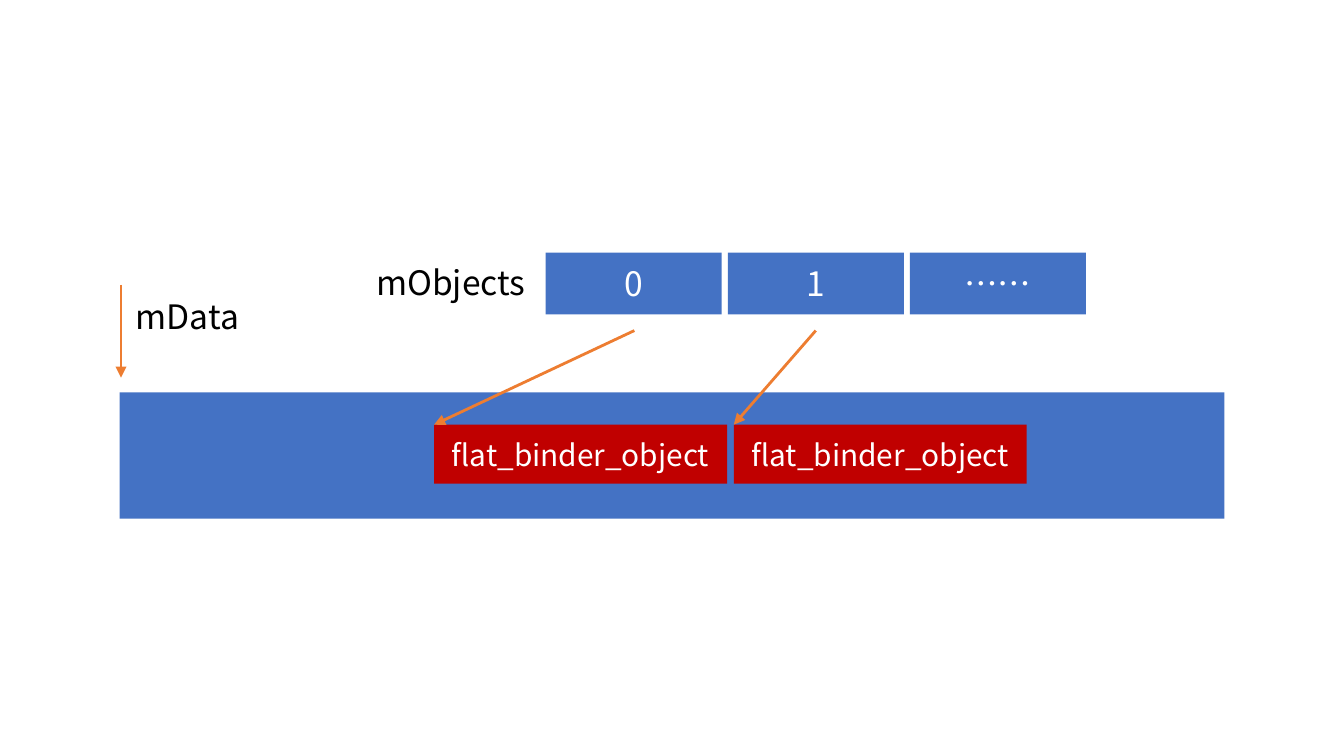
from lxml import etree
from pptx import Presentation
from pptx.dml.color import RGBColor
from pptx.enum.shapes import MSO_CONNECTOR, MSO_SHAPE
from pptx.enum.text import MSO_ANCHOR, MSO_AUTO_SIZE, PP_ALIGN
from pptx.oxml.ns import qn
from pptx.util import Inches, Pt

RECTANGLE = MSO_SHAPE.RECTANGLE
STRAIGHT = MSO_CONNECTOR.STRAIGHT
MIDDLE = MSO_ANCHOR.MIDDLE
CENTER = PP_ALIGN.CENTER
GROW = MSO_AUTO_SIZE.SHAPE_TO_FIT_TEXT
FONT = "Noto Sans CJK SC"
BLUE, RED, ORANGE = "4472C4", "C00000", "ED7D31"
BLACK, WHITE = "000000", "FFFFFF"


def write_text(box, text, size, color):
    para = box.text_frame.paragraphs[0]
    para.text = text
    for span in para.runs:
        span.font.name = FONT
        span.font.size = Pt(size)
        span.font.color.rgb = RGBColor.from_string(color)
        east_asian = etree.SubElement(span.font._element, qn("a:ea"))
        east_asian.set("typeface", FONT)


def add_block(left, top, width, height, color, text="", size=18):
    block = page.shapes.add_shape(
        RECTANGLE, Inches(left), Inches(top), Inches(width), Inches(height))
    block.shadow.inherit = False
    block.fill.solid()
    block.fill.fore_color.rgb = RGBColor.from_string(color)
    block.line.fill.background()
    if text:
        block.text_frame.vertical_anchor = MIDDLE
        write_text(block, text, size, WHITE)
        block.text_frame.paragraphs[0].alignment = CENTER


deck = Presentation()
deck.slide_width = Inches(10)
deck.slide_height = deck.slide_width * 9 // 16
page = deck.slides.add_slide(deck.slide_layouts[6])

add_block(0.89, 2.92, 8.22, 0.94, BLUE)

first_cell, last_cell = 4.06, 6.77
cell_step = (last_cell - first_cell) / 2
for index, text in enumerate(["0", "1", "……"]):
    add_block(first_cell + index * cell_step, 1.88, 1.31, 0.46, BLUE, text)

for left in (3.23, 5.46):
    add_block(left, 3.16, 2.18, 0.44, RED, "flat_binder_object", 16)

for text, left, top, width in [("mData", 0.91, 2.15, 1.01), ("mObjects", 2.7, 1.9, 1.35)]:
    label = page.shapes.add_textbox(Inches(left), Inches(top), Inches(width), Inches(0.4))
    label.text_frame.word_wrap = False
    label.text_frame.auto_size = GROW
    write_text(label, text, 18, BLACK)

arrows = [(0.9, 2.12, 0.9, 2.81), (4.72, 2.46, 3.23, 3.16), (6.07, 2.46, 5.46, 3.16)]
for ends in arrows:
    arrow = page.shapes.add_connector(STRAIGHT, *[Inches(value) for value in ends])
    arrow.line.color.rgb = RGBColor.from_string(ORANGE)
    arrow.line.width = Pt(1.5)
    etree.SubElement(arrow.line._get_or_add_ln(), qn("a:tailEnd")).set("type", "triangle")
    etree.SubElement(arrow._element.spPr, qn("a:effectLst"))

deck.save("out.pptx")
